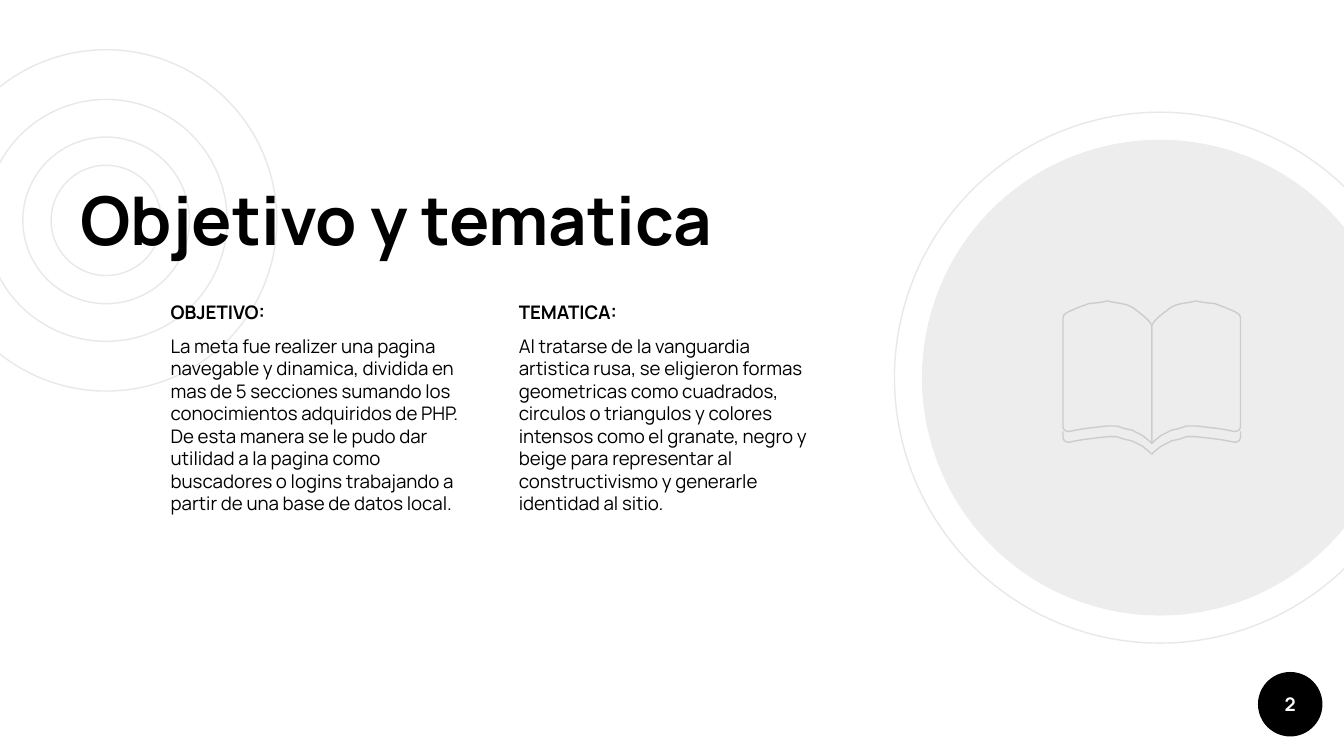
from lxml import etree
from pptx import Presentation
from pptx.dml.color import RGBColor
from pptx.enum.shapes import MSO_SHAPE
from pptx.enum.text import MSO_ANCHOR, MSO_AUTO_SIZE, PP_ALIGN
from pptx.oxml.ns import qn
from pptx.util import Inches, Pt

OVAL = MSO_SHAPE.OVAL
TOP, MIDDLE, BOTTOM = MSO_ANCHOR.TOP, MSO_ANCHOR.MIDDLE, MSO_ANCHOR.BOTTOM
LEFT, CENTER = PP_ALIGN.LEFT, PP_ALIGN.CENTER
NO_AUTOFIT = MSO_AUTO_SIZE.NONE
TWO_CONTENT_LAYOUT = 3

BLACK, WHITE, RING_GRAY, BOOK_GRAY = "000000", "FFFFFF", "E8E8E8", "CCCCCC"

COLUMNS = [
    ("OBJETIVO:",
     "La meta fue realizer una pagina navegable y dinamica, dividida en mas de 5 "
     "secciones sumando los conocimientos adquiridos de PHP. De esta manera se le "
     "pudo dar utilidad a la pagina como buscadores o logins trabajando a partir "
     "de una base de datos local."),
    ("TEMATICA:",
     "Al tratarse de la vanguardia artistica rusa, se eligieron formas geometricas "
     "como cuadrados, circulos o triangulos y colores intensos como el granate, "
     "negro y beige para representar al constructivismo y generarle identidad al "
     "sitio."),
]

# Book outline: distance from the spine and height on the slide
SPINE = 8.57
COVER_DROP = 0.08
PAGE_BOTTOM = [
    (0, 3.3), (0.02, 3.28), (0.07, 3.24), (0.11, 3.22), (0.15, 3.2), (0.2, 3.19),
    (0.26, 3.17), (0.33, 3.17), (0.42, 3.18), (0.5, 3.19), (0.56, 3.2),
    (0.61, 3.21), (0.63, 3.21), (0.65, 3.2), (0.66, 3.18), (0.66, 3.17)]
PAGE_TOP = [
    (0.66, 2.38), (0.66, 2.36), (0.65, 2.34), (0.62, 2.32), (0.55, 2.29),
    (0.47, 2.26), (0.38, 2.25), (0.33, 2.24), (0.28, 2.25), (0.22, 2.26),
    (0.18, 2.27), (0.14, 2.29), (0.1, 2.32), (0.05, 2.36), (0.02, 2.39),
    (0, 2.42)]
PAGE = PAGE_BOTTOM + PAGE_TOP
COVER = [(x, y + COVER_DROP) for x, y in PAGE_BOTTOM] + [(0.66, 3.21)]


def color(value):
    """Return the colour for a hex string."""
    return RGBColor.from_string(value)


class SlideBuilder:
    """Holds the text style and the current slide."""

    font_name = "Manrope"
    body_size = 10
    line_width = 0.75
    inset = 0.1

    def __init__(self, slide):
        """Start on a slide with a white background."""
        self.slide = slide
        slide.background.fill.solid()
        slide.background.fill.fore_color.rgb = color(WHITE)

    def paint(self, shape, fill=None, line=None, opacity=100):
        """Set fill, outline and opacity, without a shadow."""
        shape.shadow.inherit = False
        if fill:
            shape.fill.solid()
            shape.fill.fore_color.rgb = color(fill)
            if opacity < 100:
                fill_color = shape.fill._xPr.find(".//" + qn("a:srgbClr"))
                alpha = etree.SubElement(fill_color, qn("a:alpha"))
                alpha.set("val", str(opacity * 1000))
        else:
            shape.fill.background()
        if line:
            shape.line.color.rgb = color(line)
            shape.line.width = Pt(self.line_width)
        else:
            shape.line.fill.background()

    def circle(self, center_x, center_y, diameter, **paint):
        """Draw a circle around a centre."""
        shape = self.slide.shapes.add_shape(
            OVAL, Inches(center_x - diameter / 2), Inches(center_y - diameter / 2),
            Inches(diameter), Inches(diameter))
        self.paint(shape, **paint)
        return shape

    def outline(self, points, line, close):
        """Draw an unfilled outline through points."""
        corners = [(Inches(x), Inches(y)) for x, y in points]
        builder = self.slide.shapes.build_freeform(*corners[0])
        builder.add_line_segments(corners[1:], close=close)
        self.paint(builder.convert_to_shape(), line=line)

    def frame(self, shape, anchor, wrap=True):
        """Set the margins and anchor of a text frame and return it."""
        frame = shape.text_frame
        frame.margin_left = frame.margin_right = Inches(self.inset)
        frame.margin_top = frame.margin_bottom = Inches(self.inset)
        frame.auto_size = NO_AUTOFIT
        frame.vertical_anchor = anchor
        frame.word_wrap = wrap
        return frame

    def style(self, paragraph, size, text_color=BLACK, bold=False, align=LEFT,
              space_before=0):
        """Format one paragraph, without a bullet."""
        font = paragraph.font
        font.name, font.size, font.bold = self.font_name, Pt(size), bold
        font.color.rgb = color(text_color)
        paragraph.alignment = align
        paragraph.line_spacing = 1.0
        paragraph.space_before = Pt(space_before)
        paragraph.space_after = Pt(0)
        properties = paragraph._p.get_or_add_pPr()
        properties.set("marL", "0")
        properties.set("indent", "0")
        properties.insert_element_before(
            etree.Element(qn("a:buNone")), "a:tabLst", "a:defRPr", "a:extLst")

    def place(self, placeholder, left, top, width, height):
        """Position a placeholder in front of everything drawn so far."""
        placeholder.left, placeholder.top = Inches(left), Inches(top)
        placeholder.width, placeholder.height = Inches(width), Inches(height)
        placeholder._element.getparent().append(placeholder._element)

    def title(self, text, *box):
        """Fill the title placeholder."""
        placeholder = self.slide.shapes.title
        self.place(placeholder, *box)
        frame = self.frame(placeholder, BOTTOM)
        frame.text = text
        self.style(frame.paragraphs[0], 36, bold=True)

    def column(self, index, heading, text, *box):
        """Fill a body placeholder with a bold heading and a paragraph."""
        placeholder = self.slide.placeholders[index]
        self.place(placeholder, *box)
        frame = self.frame(placeholder, TOP)
        frame.text = f"{heading}\n{text}"
        for paragraph, bold in zip(frame.paragraphs, (True, False)):
            self.style(paragraph, self.body_size, bold=bold, space_before=6)

    def page_number(self, number, center_x, center_y, diameter):
        """Draw the page number in a black circle."""
        badge = self.circle(center_x, center_y, diameter, fill=BLACK)
        frame = self.frame(badge, MIDDLE, wrap=False)
        frame.text = str(number)
        self.style(frame.paragraphs[0], self.body_size, WHITE, bold=True, align=CENTER)

    def book(self):
        """Draw an open book as two mirrored halves."""
        for points, close in ((COVER, False), (PAGE, True)):
            for side in (-1, 1):
                half = [(SPINE + side * x, y) for x, y in points]
                self.outline(half, BOOK_GRAY, close)


def main():
    """Build and save the presentation."""
    presentation = Presentation()
    presentation.slide_width = Inches(10)
    presentation.slide_height = Inches(10 * 9 / 16)
    layout = presentation.slide_layouts[TWO_CONTENT_LAYOUT]
    builder = SlideBuilder(presentation.slides.add_slide(layout))

    for diameter in (2.54, 1.8, 1.24, 0.82):
        builder.circle(0.79, 1.64, diameter, line=RING_GRAY)
    builder.circle(8.63, 2.81, 3.95, line=RING_GRAY)
    builder.circle(8.63, 2.81, 3.54, fill=BLACK, opacity=7)

    builder.title("Objetivo y tematica", 0.5, 1.28, 5.71, 0.75)
    for number, (heading, text) in enumerate(COLUMNS):
        builder.column(number + 1, heading, text, 1.17 + 2.59 * number, 2.14, 2.45, 2.46)
    builder.page_number(2, 9.6, 5.24, 0.48)
    builder.book()
    presentation.save("out.pptx")


main()
